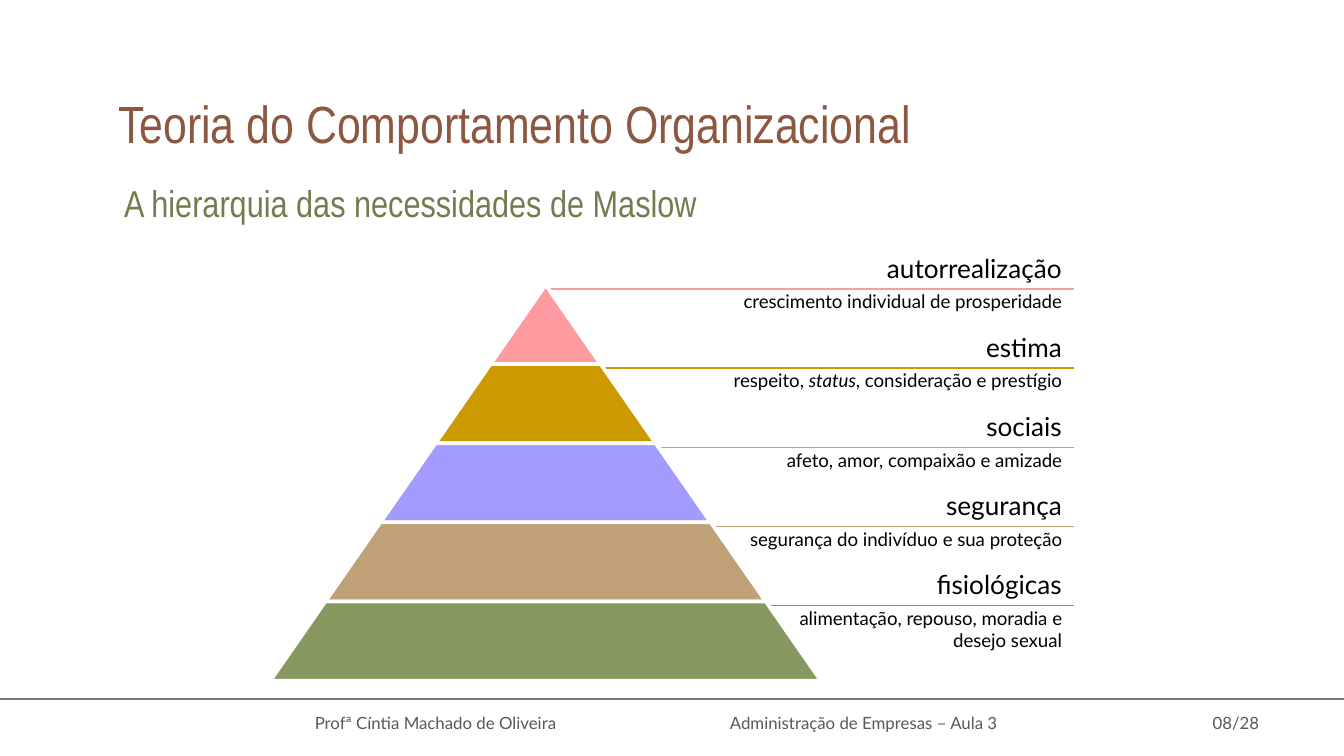
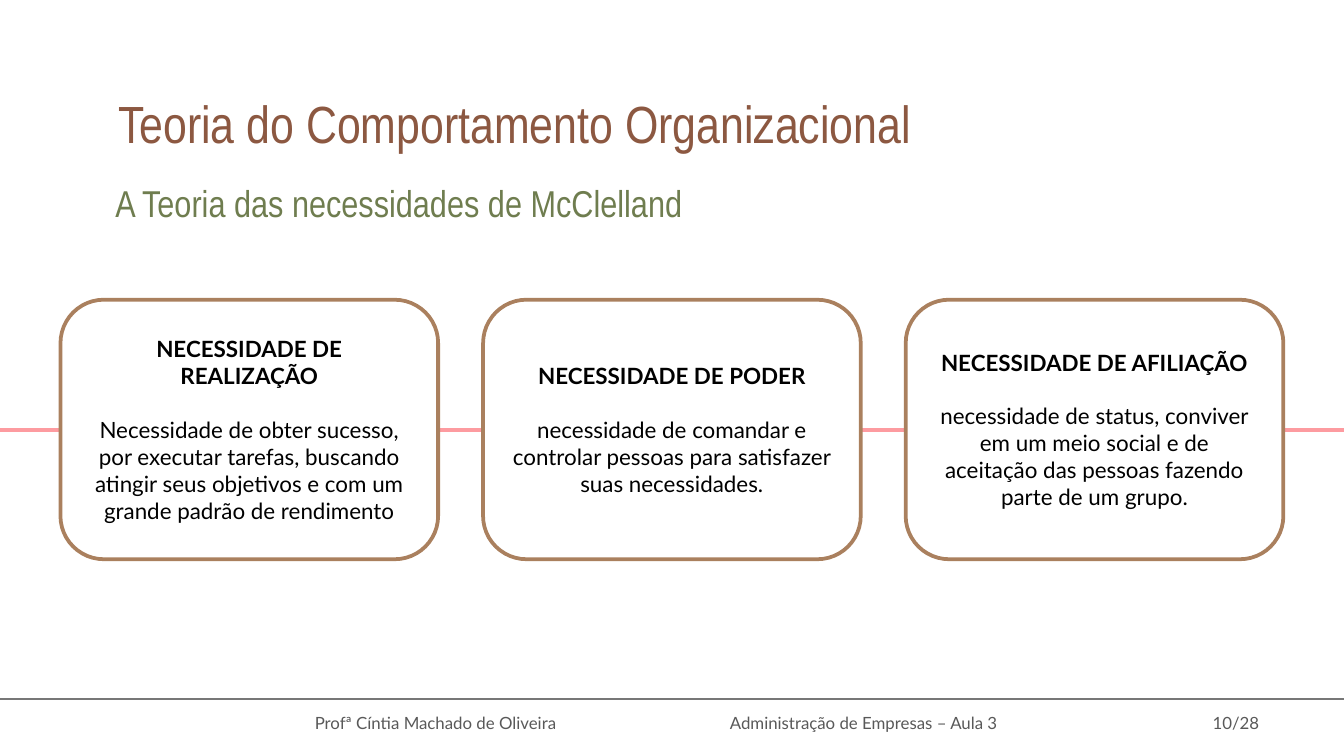
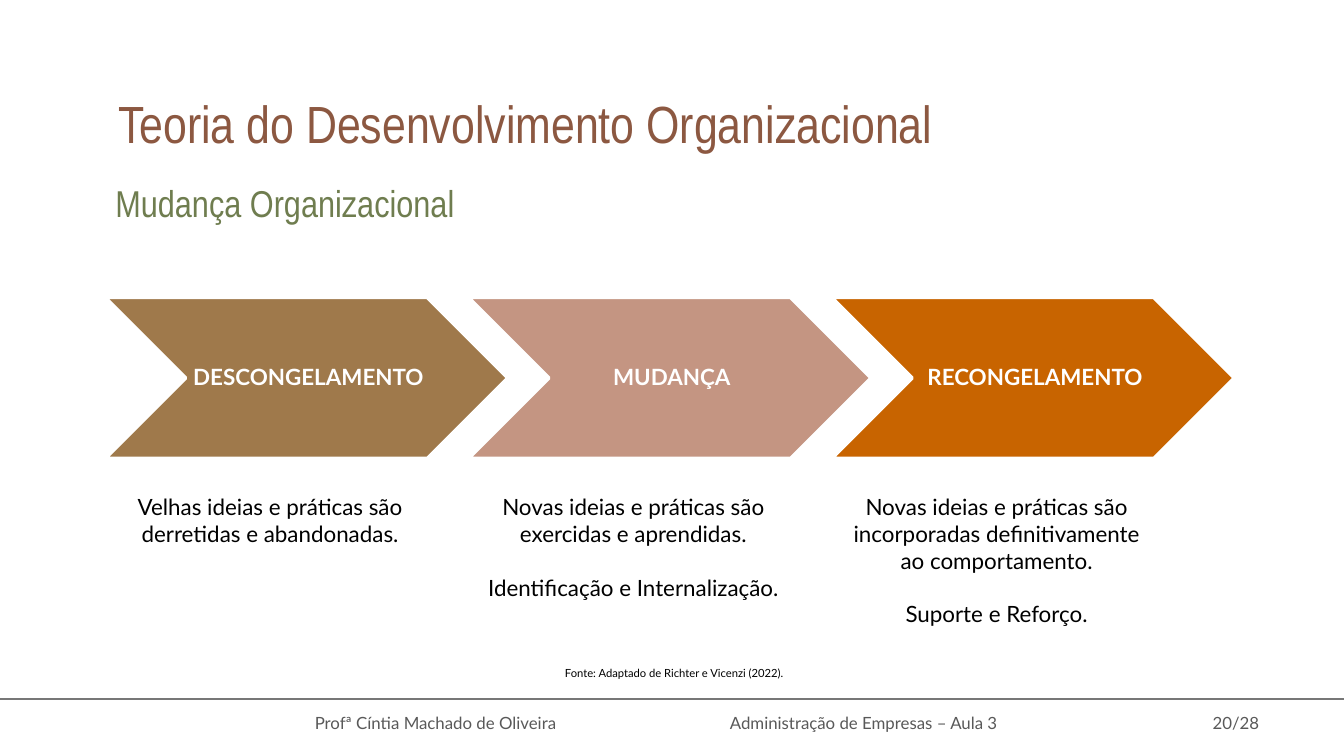
"""Builds three lecture slides on needs and change in organisations."""
from dataclasses import dataclass

from lxml.etree import SubElement
from pptx import Presentation
from pptx.dml.color import RGBColor as Rgb
from pptx.enum.shapes import MSO_CONNECTOR as Link, MSO_SHAPE as Form
from pptx.enum.text import MSO_ANCHOR as Anchor, PP_ALIGN as Align
from pptx.oxml.ns import qn
from pptx.util import Pt


@dataclass(frozen=True)
class Theme:
    head: str = "Arial Narrow"
    body: str = "Lato"
    black: str = "000000"
    white: str = "FFFFFF"
    grey: str = "595959"
    rule: str = "777777"
    brown: str = "8C5841"
    moss: str = "6F7D4F"
    tan: str = "AA805E"
    rose: str = "FD9BA0"
    tiers: tuple = (rose, "CC9900", "A39BFD", "BFA077", "86975F")
    steps: tuple = ("9F794B", "C49582", "C86400")
    big: float = 28
    sub: float = 20
    label: float = 14
    text: float = 12
    note: float = 10
    foot: float = 9
    tiny: float = 6


THEME = Theme()


def write(frame, text, size=THEME.text, color=THEME.black, font=THEME.body, align=Align.CENTER,
          anchor=Anchor.TOP, pad=(7.2, 3.6, 7.2, 3.6), bold=False, lead=False, gap=14.4, space=None):
    frame.word_wrap = True
    frame.vertical_anchor = anchor
    frame.margin_left, frame.margin_top, frame.margin_right, frame.margin_bottom = map(Pt, pad)
    for row, line in enumerate(text.split("\n")):
        para = frame.paragraphs[0] if row == 0 else frame.add_paragraph()
        para.alignment = align
        para.line_spacing = space
        para.space_before = Pt(gap if row else 0)
        for turn, part in enumerate(line.split("*")):
            run = para.add_run()
            run.text = part
            face = run.font
            face.name, face.size = font, Pt(size)
            face.bold = bold or (lead and row == 0)
            face.italic = turn % 2 == 1
            face.color.rgb = Rgb.from_string(color)


class Deck:
    def __init__(self, theme):
        self.theme = theme
        self.file = Presentation()
        self.file.slide_width, self.file.slide_height = Pt(720), Pt(405)
        self.slide = None

    def page(self, title, sub, count, inset=7.2):
        look = self.theme
        self.slide = self.file.slides.add_slide(self.file.slide_layouts[6])
        feet = (("Profª Cíntia Machado de Oliveira", 149, 168.5),
                ("Administração de Empresas – Aula 3", 375.8, 173.5),
                (count, 626.4, 71.3))
        for text, left, width in feet:
            self.text(text, left, 375.1, width, 23.8, size=look.foot, color=look.grey,
                      anchor=Anchor.MIDDLE, pad=(7.2,) * 4)
        self.line(0, 720, 374.4, look.rule, 1)
        self.text(title, 56.2, 45.4, 607.7, 41, size=look.big, color=look.brown,
                  font=look.head, align=Align.LEFT)
        self.text(sub, 54.7, 92.9, 607.7, 30.2, size=look.sub, color=look.moss,
                  font=look.head, align=Align.JUSTIFY, pad=(inset, 3.6, 7.2, 3.6))

    def text(self, text, left, top, width, height, **style):
        box = self.slide.shapes.add_textbox(Pt(left), Pt(top), Pt(width), Pt(height))
        write(box.text_frame, text, **style)

    def line(self, start, end, top, color, weight):
        rule = self.slide.shapes.add_connector(Link.STRAIGHT, Pt(start), Pt(top), Pt(end), Pt(top))
        rule.line.color.rgb = Rgb.from_string(color)
        rule.line.width = Pt(weight)
        SubElement(rule._element.spPr, qn("a:effectLst"))

    def shape(self, form, left, top, width, height, fill, edge, bend):
        item = self.slide.shapes.add_shape(form, Pt(left), Pt(top), Pt(width), Pt(height))
        item.shadow.inherit = False
        item.adjustments[0] = bend
        item.fill.solid()
        item.fill.fore_color.rgb = Rgb.from_string(fill)
        item.line.color.rgb = Rgb.from_string(edge)
        item.line.width = Pt(2)
        return item


def needs(deck):
    look = deck.theme
    deck.page("Teoria do Comportamento Organizacional",
              "A hierarquia das necessidades de Maslow", "08/28", inset=11.8)
    mid, right, rise, grow = 292.3, 576, 42.4, 59
    rows = (("autorrealização", "crescimento individual de prosperidade", mid, 18.7),
            ("estima", "respeito, *status*, consideração e prestígio", mid, 18.7),
            ("sociais", "afeto, amor, compaixão e amizade", mid, 18.7),
            ("segurança", "segurança do indivíduo e sua proteção", 214.6, 14.4),
            ("fisiológicas", "alimentação, repouso, moradia e desejo sexual", 413.3, 31.7))
    for tier, color in enumerate(look.tiers):
        deck.line(mid, 575.3, 154.8 + rise * tier, color, 0.75)
    for tier, color in enumerate(look.tiers):
        width = grow * (tier + 1)
        deck.shape(Form.TRAPEZOID, mid - width / 2, 152.6 + rise * tier, width, 42.5,
                   color, look.white, 0.695)
    for tier, (name, note, left, height) in enumerate(rows):
        top = 154.8 + rise * tier
        deck.text(name, 465.8, top - 22.5, 110.2, 22.3, size=look.label,
                  align=Align.RIGHT, anchor=Anchor.MIDDLE)
        deck.text(note, left, top - 2.9, right - left, height, size=look.note, align=Align.RIGHT)


def drives(deck):
    look = deck.theme
    deck.page("Teoria do Comportamento Organizacional",
              "A Teoria das necessidades de McClelland", "10/28")
    deck.line(0, 720, 230.4, look.rose, 2.25)
    cards = ("NECESSIDADE DE REALIZAÇÃO\nNecessidade de obter sucesso, por executar tarefas, "
             "buscando atingir seus objetivos e com um grande padrão de rendimento",
             "NECESSIDADE DE PODER\nnecessidade de comandar e controlar pessoas para "
             "satisfazer suas necessidades.",
             "NECESSIDADE DE AFILIAÇÃO\nnecessidade de status, conviver em um meio social e "
             "de aceitação das pessoas fazendo parte de um grupo.")
    for spot, text in enumerate(cards):
        card = deck.shape(Form.ROUNDED_RECTANGLE, 32.4 + 226.4 * spot, 160.6, 202.3, 139,
                          look.white, look.tan, 0.167)
        write(card.text_frame, text, anchor=Anchor.MIDDLE, lead=True)


def change(deck):
    look = deck.theme
    deck.page("Teoria do Desenvolvimento Organizacional", "Mudança Organizacional", "20/28")
    steps = (("DESCONGELAMENTO", "Velhas ideias e práticas são derretidas e abandonadas.", 56.2),
             ("MUDANÇA", "Novas ideias e práticas são exercidas e aprendidas.\n"
              "Identificação e Internalização.", 68.4),
             ("RECONGELAMENTO", "Novas ideias e práticas são incorporadas definitivamente "
              "ao comportamento.\nSuporte e Reforço.", 77))
    for spot, (name, note, height) in enumerate(steps):
        left = 56.2 + 194.6 * spot
        deck.shape(Form.CHEVRON, left, 159.3, 216, 86.4, look.steps[spot], look.white, 0.5)
        deck.text(name, left + 43.2, 159.3, 129.6, 86.4, color=look.white, bold=True,
                  anchor=Anchor.MIDDLE, pad=(3.6, 1.4, 1.4, 1.4), space=0.9)
        deck.text(note, left, 260.6, 177.1, height)
    deck.text("Fonte: Adaptado de Richter e Vicenzi (2022).", 218.9, 353.5, 284.4, 14.4,
              size=look.tiny, anchor=Anchor.MIDDLE, pad=(7.2,) * 4)


def main():
    deck = Deck(THEME)
    for draw in (needs, drives, change):
        draw(deck)
    deck.file.save("out.pptx")


if __name__ == "__main__":
    main()
